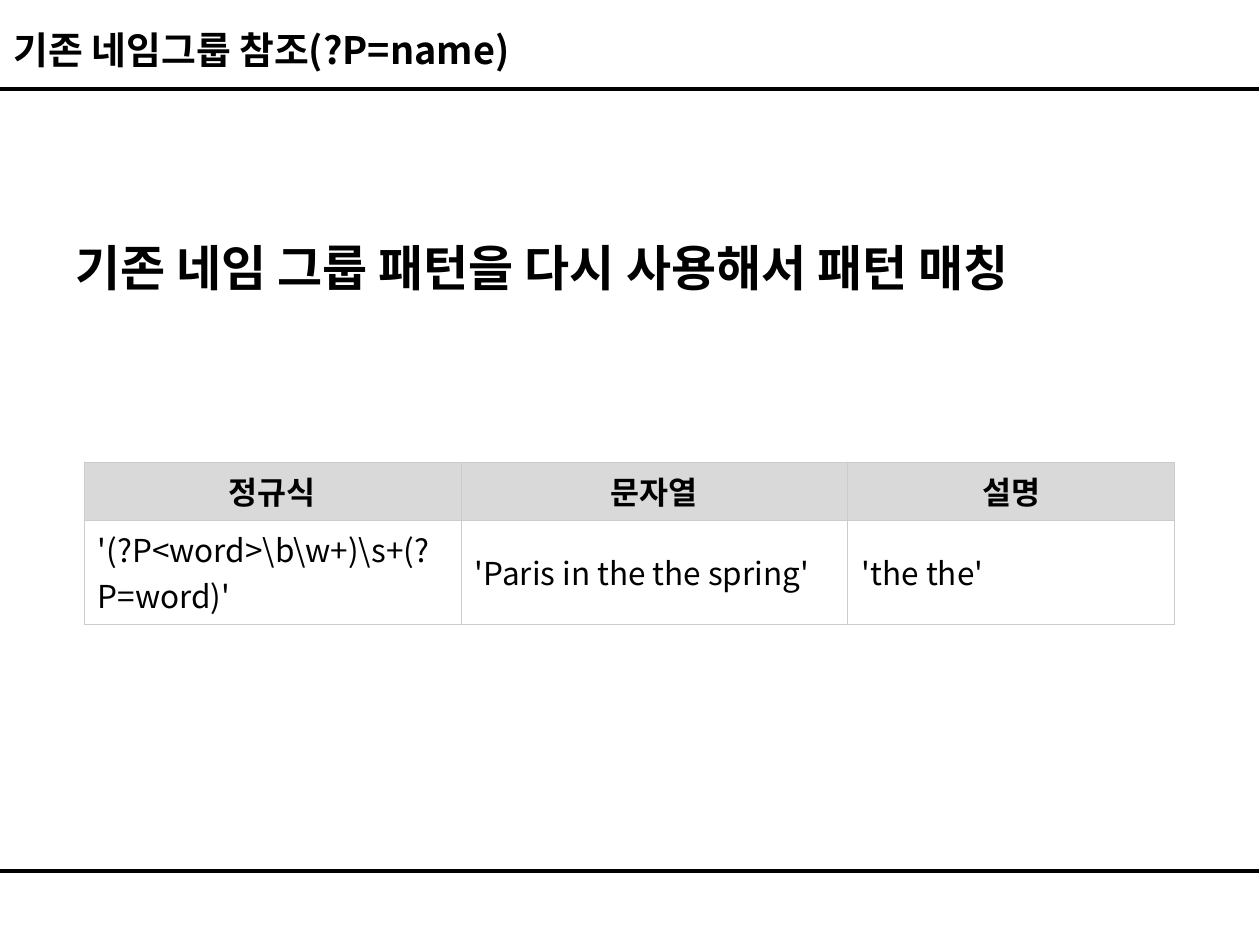
import pptx
import pptx.dml.color
import pptx.enum.shapes
import pptx.enum.text
import pptx.oxml.ns
import pptx.util
from lxml import etree

PX = 914400 / 126
BLACK = pptx.dml.color.RGBColor(0x00, 0x00, 0x00)
WHITE = pptx.dml.color.RGBColor(0xFF, 0xFF, 0xFF)
HEADER_GRAY = pptx.dml.color.RGBColor(0xD9, 0xD9, 0xD9)
BORDER_GRAY = pptx.dml.color.RGBColor(0xCC, 0xCC, 0xCC)
ALIGN = pptx.enum.text.PP_ALIGN
ANCHOR = pptx.enum.text.MSO_ANCHOR


def px(length):
    return pptx.util.Emu(round(length * PX))


def add_xml(parent, tag, **attributes):
    return etree.SubElement(parent, pptx.oxml.ns.qn(tag), attributes)


class SlideBuilder:
    """Draws styled elements on the current slide."""

    font_name = "Noto Sans CJK KR"

    def __init__(self, presentation):
        self.slide = presentation.slides.add_slide(presentation.slide_layouts[5])

    def fill_text(self, frame, text, size, bold=True, align=ALIGN.LEFT):
        paragraph = frame.paragraphs[0]
        paragraph.text = text
        paragraph.alignment = align
        font = paragraph.font
        font.name = self.font_name
        font.size = pptx.util.Pt(size)
        font.bold = bold
        font.color.rgb = BLACK
        properties = paragraph._p.pPr.find(pptx.oxml.ns.qn("a:defRPr"))
        add_xml(properties, "a:ea", typeface=self.font_name)
        return paragraph

    def rule(self, y):
        connector = self.slide.shapes.add_connector(
            pptx.enum.shapes.MSO_CONNECTOR.STRAIGHT, px(-1), px(y), px(1259), px(y))
        connector.line.color.rgb = BLACK
        connector.line.width = pptx.util.Pt(2.75)
        add_xml(connector._element.spPr, "a:effectLst")

    def title(self, text, left, top, width, height):
        title = self.slide.shapes.title
        title.left, title.top = px(left), px(top)
        title.width, title.height = px(width), px(height)
        frame = title.text_frame
        frame.auto_size = pptx.enum.text.MSO_AUTO_SIZE.NONE
        frame.vertical_anchor = ANCHOR.MIDDLE
        self.fill_text(frame, text, 21.6)

    def text(self, text, left, top, width, height):
        box = self.slide.shapes.add_textbox(px(left), px(top), px(width), px(height))
        box.text_frame.word_wrap = True
        paragraph = self.fill_text(box.text_frame, text, 28)
        paragraph.line_spacing = 1.2

    def border(self, cell):
        properties = cell._tc.get_or_add_tcPr()
        for side in ("a:lnL", "a:lnR", "a:lnT", "a:lnB"):
            line = add_xml(properties, side, w=str(pptx.util.Pt(0.6)))
            add_xml(add_xml(line, "a:solidFill"), "a:srgbClr", val=str(BORDER_GRAY))

    def table(self, rows, left, top, column_widths, row_heights):
        table = self.slide.shapes.add_table(
            len(rows), len(column_widths), px(left), px(top),
            px(sum(column_widths)), px(sum(row_heights))).table
        table.horz_banding = False
        for column, width in zip(table.columns, column_widths):
            column.width = px(width)
        for row, height in zip(table.rows, row_heights):
            row.height = px(height)
        for row_index, texts in enumerate(rows):
            header = row_index == 0
            for column_index, text in enumerate(texts):
                cell = table.cell(row_index, column_index)
                cell.margin_left = cell.margin_right = px(14)
                cell.margin_top = cell.margin_bottom = px(6)
                cell.vertical_anchor = ANCHOR.MIDDLE
                self.border(cell)
                cell.fill.solid()
                cell.fill.fore_color.rgb = HEADER_GRAY if header else WHITE
                self.fill_text(cell.text_frame, text, 18, header,
                               ALIGN.CENTER if header else ALIGN.LEFT)


def main():
    presentation = pptx.Presentation()
    presentation.slide_width, presentation.slide_height = px(1260), px(945)
    builder = SlideBuilder(presentation)
    for y in (89, 871):
        builder.rule(y)
    builder.title("기존 네임그룹 참조(?P=name)", 1, 20, 1245, 58)
    builder.text("기존 네임 그룹 패턴을 다시 사용해서 패턴 매칭", 63, 220, 1134, 173)
    builder.table(
        [("정규식", "문자열", "설명"),
         (r"'(?P<word>\b\w+)\s+(?P=word)'", "'Paris in the the spring'", "'the the'")],
        84, 462, (377, 387, 327), (58, 104))
    presentation.save("out.pptx")


if __name__ == "__main__":
    main()
